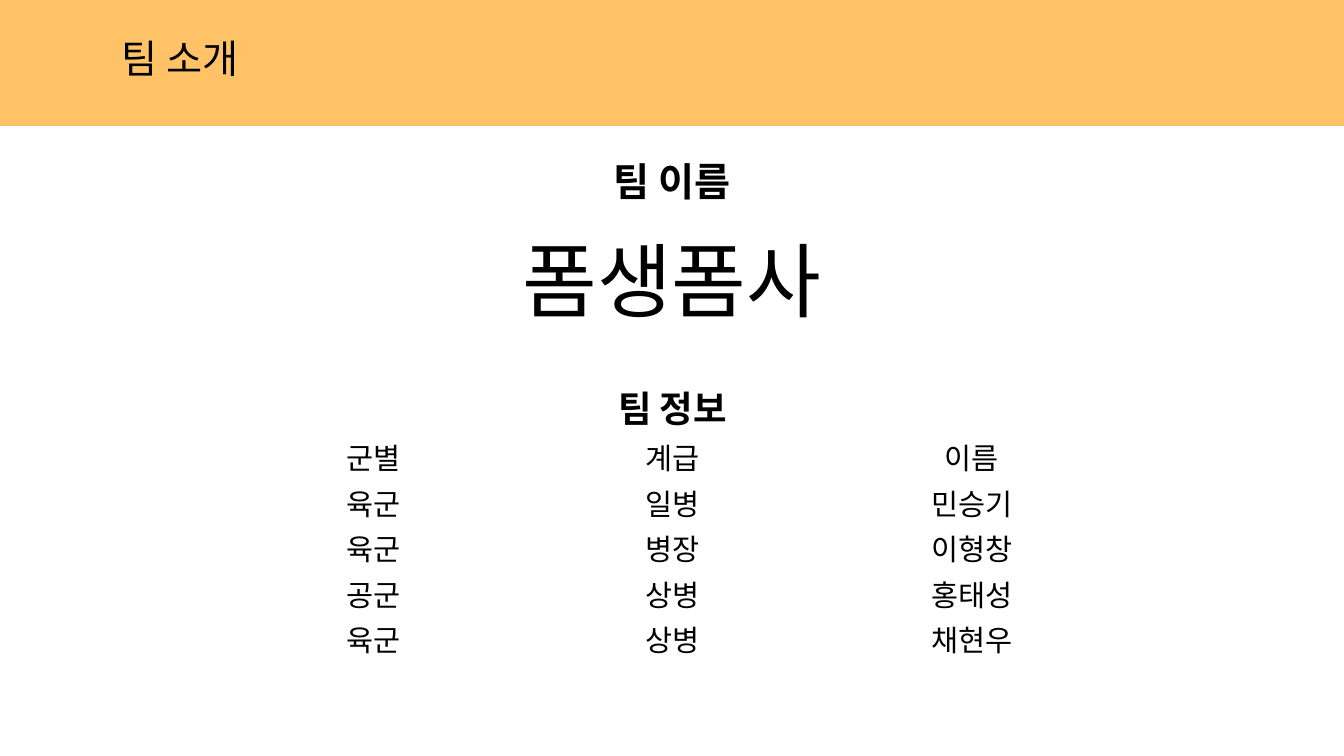
from lxml import etree
from pptx import Presentation
from pptx.dml.color import RGBColor
from pptx.enum.shapes import MSO_SHAPE
from pptx.enum.text import MSO_ANCHOR, MSO_AUTO_SIZE, PP_ALIGN
from pptx.oxml.ns import qn
from pptx.util import Inches, Pt

RECTANGLE = MSO_SHAPE.RECTANGLE
TOP, MIDDLE = MSO_ANCHOR.TOP, MSO_ANCHOR.MIDDLE
NO_AUTOSIZE = MSO_AUTO_SIZE.NONE
LEFT, CENTER = PP_ALIGN.LEFT, PP_ALIGN.CENTER

ORANGE = RGBColor(0xFF, 0xC2, 0x67)
BLACK = RGBColor(0x00, 0x00, 0x00)
FONT = "Noto Sans CJK KR"
TITLE_ONLY = 5

MEMBERS = [
    ("군별", "계급", "이름"),
    ("육군", "일병", "민승기"),
    ("육군", "병장", "이형창"),
    ("공군", "상병", "홍태성"),
    ("육군", "상병", "채현우"),
]


def set_all(target, values):
    for name, value in values.items():
        setattr(target, name, value)


def write(para, text, size, bold=False, align=CENTER, **spacing):
    """Fill a paragraph with one run, using the font for Korean letters too."""
    set_all(para, {"alignment": align, **spacing})
    span = para.add_run()
    span.text = text
    set_all(span.font, {"name": FONT, "size": Pt(size), "bold": bold})
    span.font.color.rgb = BLACK
    east_asian = etree.SubElement(span.font._element, qn("a:ea"))
    east_asian.set("typeface", FONT)


def set_frame(frame):
    set_all(frame, {"word_wrap": True, "auto_size": NO_AUTOSIZE,
                    "vertical_anchor": TOP})


def add_header(page, left, top, width, height):
    band = page.shapes.add_shape(RECTANGLE, left, top, width, height)
    band.shadow.inherit = False
    band.fill.solid()
    band.fill.fore_color.rgb = ORANGE
    band.line.fill.background()

    title = page.shapes.title
    title.element.addprevious(band.element)  # keeps the band behind the title
    set_all(title, {"left": left + Inches(1.11), "top": top + Inches(0.34),
                    "width": Inches(5.71), "height": Inches(0.57)})
    set_frame(title.text_frame)
    write(title.text_frame.paragraphs[0], "팀 소개", 28, align=LEFT,
          line_spacing=0.9)


def add_team_name(page, left, top, width, height):
    box = page.shapes.add_textbox(left, top, width, height)
    frame = box.text_frame
    set_frame(frame)
    write(frame.paragraphs[0], "팀 이름", 28, bold=True, line_spacing=0.9)
    write(frame.add_paragraph(), "폼생폼사", 58, line_spacing=0.9,
          space_before=Pt(26))


def add_members(page, left, top, width, height):
    heading_height = Inches(0.56)
    row_count, column_count = len(MEMBERS) + 1, len(MEMBERS[0])
    table = page.shapes.add_table(row_count, column_count, left, top,
                                  width, height).table
    set_all(table, {"first_row": False, "horz_banding": False})
    for row in table.rows:
        row.height = (height - heading_height) // len(MEMBERS)
    table.rows[0].height = heading_height

    for cell in table.iter_cells():
        cell.fill.background()
        set_all(cell, {"margin_top": Pt(1), "margin_bottom": Pt(1),
                       "vertical_anchor": MIDDLE})
    heading = table.cell(0, 0)
    heading.merge(table.cell(0, column_count - 1))
    write(heading.text_frame.paragraphs[0], "팀 정보", 26, bold=True)
    for row, member in enumerate(MEMBERS, start=1):
        for column, text in enumerate(member):
            write(table.cell(row, column).text_frame.paragraphs[0], text, 21)


def main():
    deck = Presentation()
    set_all(deck, {"slide_width": Inches(13.33), "slide_height": Inches(7.5)})
    page = deck.slides.add_slide(deck.slide_layouts[TITLE_ONLY])
    add_header(page, 0, 0, deck.slide_width, Inches(1.25))
    add_team_name(page, Inches(3.59), Inches(1.56), Inches(6.15), Inches(1.95))
    add_members(page, Inches(2.22), Inches(3.75), Inches(8.9), Inches(2.81))
    deck.save("out.pptx")


if __name__ == "__main__":
    main()
